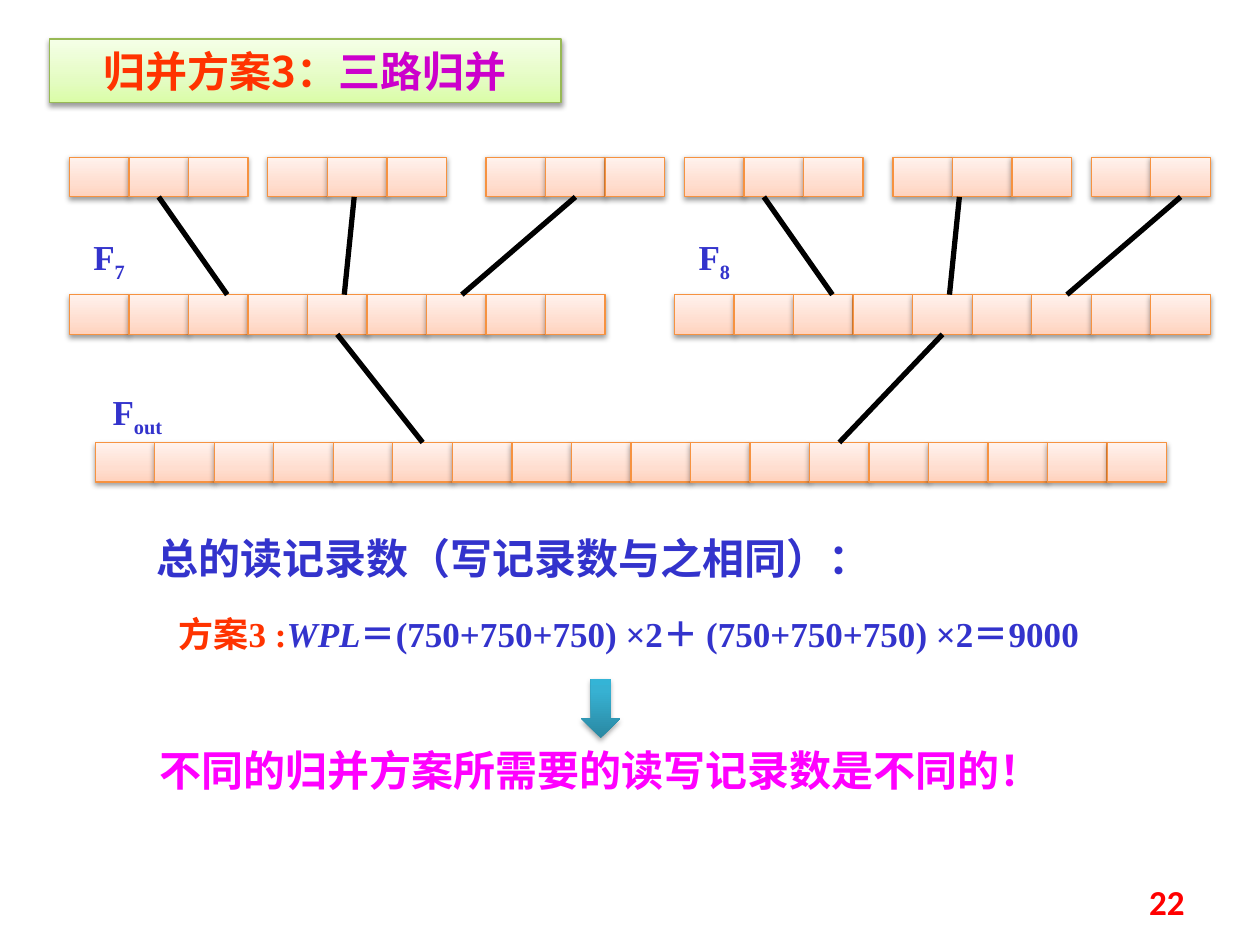
from lxml import etree
from pptx import Presentation, util as u
from pptx.dml.color import RGBColor
from pptx.enum import shapes, text
from pptx.oxml import parse_xml
from pptx.oxml.ns import nsdecls, qn

CJK, ROMAN = "Noto Sans CJK SC", "Times New Roman"
BLUE, RED = "3333CC", "FF3300"
CELL_WIDTH, CELL_HEIGHT = 1.2, 0.8
LEAF_TOP, MIDDLE_TOP, OUT_TOP = 3.17, 5.94, 8.92


def style_shape(shape, stops, line, opacity=38, distance=1.6):
    """Give a shape a bottom-to-top gradient, an outline and a soft shadow below."""
    shape.shadow.inherit = False
    if line:
        shape.line.color.rgb = RGBColor.from_string(line)
        shape.line.width = u.Pt(0.75)
    else:
        shape.line.fill.background()
    properties = shape._element.spPr
    colours = "".join(
        f'<a:gs pos="{position * 1000}"><a:srgbClr val="{colour}"/></a:gs>'
        for position, colour in stops)
    properties.find(qn("a:prstGeom")).addnext(parse_xml(
        f'<a:gradFill {nsdecls("a")} rotWithShape="1"><a:gsLst>{colours}</a:gsLst>'
        '<a:lin ang="16200000" scaled="0"/></a:gradFill>'))
    properties.find(qn("a:effectLst")).append(parse_xml(
        f'<a:outerShdw {nsdecls("a")} blurRad="{u.Pt(3.1)}" dist="{u.Pt(distance)}" '
        'dir="5400000" rotWithShape="0"><a:srgbClr val="000000">'
        f'<a:alpha val="{opacity * 1000}"/></a:srgbClr></a:outerShdw>'))


def write_text(shape, runs, size, font=ROMAN, align=text.PP_ALIGN.LEFT, inset=None):
    """Fill a shape with bold runs of (wording, colour, style); return its text frame."""
    frame = shape.text_frame
    frame.word_wrap = True
    if inset is not None:
        frame.margin_left = frame.margin_right = u.Cm(inset)
        frame.margin_top = frame.margin_bottom = u.Cm(inset)
    paragraph = frame.paragraphs[0]
    paragraph.alignment = align
    for wording, colour, style in runs:
        run = paragraph.add_run()
        run.text = wording
        run.font.name = font
        run.font.size = u.Pt(size)
        run.font.bold = True
        run.font.italic = style == "italic"
        run.font.color.rgb = RGBColor.from_string(colour)
        if style == "subscript":
            run.font._element.set("baseline", "-25000")
        east_asian = etree.SubElement(run.font._element, qn("a:ea"))
        east_asian.set("typeface", CJK)
    return frame


presentation = Presentation()
presentation.slide_width, presentation.slide_height = u.Cm(25.4), u.Cm(19.05)
slide = presentation.slides.add_slide(presentation.slide_layouts[6])

# Title
title = slide.shapes.add_shape(
    shapes.MSO_SHAPE.RECTANGLE, u.Cm(1), u.Cm(0.79), u.Cm(10.31), u.Cm(1.28))
style_shape(title, [(0, "DAFDA7"), (35, "E4FCC2"), (100, "F5FFE7")], "98B955")
write_text(title, [("归并方案3：", RED, ""), ("三路归并", "CC00CC", "")],
           24, CJK, text.PP_ALIGN.CENTER)

# Rows of records: name, left, top, number of cells
rows = [(f"leaf{number}", left, LEAF_TOP, 2 if number == 6 else 3)
        for number, left in enumerate([1.4, 5.4, 9.8, 13.8, 18, 22], 1)]
rows += [("F7", 1.4, MIDDLE_TOP, 9), ("F8", 13.6, MIDDLE_TOP, 9),
         ("Fout", 1.92, OUT_TOP, 18)]
cells = {}
for name, left, top, count in rows:
    for index in range(count):
        cell = slide.shapes.add_shape(
            shapes.MSO_SHAPE.RECTANGLE, u.Cm(left + index * CELL_WIDTH), u.Cm(top),
            u.Cm(CELL_WIDTH), u.Cm(CELL_HEIGHT))
        style_shape(cell, [(0, "FFD2BD"), (35, "FFDED0"), (100, "FFF2ED")], "F69240")
        cells[name, index] = cell

# Merge lines: start x, end x, start top, end top, joined start cell, joined end cell
LEAF_BOTTOM, MIDDLE_BOTTOM = LEAF_TOP + CELL_HEIGHT, MIDDLE_TOP + CELL_HEIGHT
merges = []
for shift, joined in [(0, [("leaf1", 1), None, ("leaf3", 1)]),
                      (12.2, [None, None, ("leaf6", 1)])]:
    for start, end, cell in zip([3.2, 7.14, 11.6], [4.58, 6.94, 9.31], joined):
        merges.append((start + shift, end + shift, LEAF_BOTTOM, MIDDLE_TOP, cell, None))
merges += [(6.8, 8.52, MIDDLE_BOTTOM, OUT_TOP, ("F7", 4), ("Fout", 5)),
           (19, 16.92, MIDDLE_BOTTOM, OUT_TOP, ("F8", 4), ("Fout", 12))]
for start, end, start_top, end_top, start_cell, end_cell in merges:
    connector = slide.shapes.add_connector(
        shapes.MSO_CONNECTOR.STRAIGHT,
        u.Cm(start), u.Cm(start_top), u.Cm(end), u.Cm(end_top))
    connector.line.color.rgb = RGBColor.from_string("000000")
    connector.line.width = u.Pt(3)
    etree.SubElement(connector._element.spPr, qn("a:effectLst"))
    if start_cell:
        connector.begin_connect(cells[start_cell], 2)
    if end_cell:
        connector.end_connect(cells[end_cell], 0)

# File labels
for subscript, left, top, width in [
        ("7", 1.4, 4.75, 1.6), ("8", 13.6, 4.75, 1.6), ("out", 1.57, 7.87, 2.4)]:
    label = slide.shapes.add_textbox(u.Cm(left), u.Cm(top), u.Cm(width), u.Cm(0.85))
    write_text(label, [("F", BLUE, ""), (subscript, BLUE, "subscript")],
               20, align=text.PP_ALIGN.CENTER, inset=0)

# Statements
statements = [
    (2.9, 10.62, 16.5, 1.28, 24, [("总的读记录数（写记录数与之相同）：", BLUE, "")]),
    (3.35, 12.22, 20.45, 1.11, 20, [
        ("方案3 :", RED, ""), ("WPL", BLUE, "italic"),
        ("＝(750+750+750) ×2＋ (750+750+750) ×2＝9000", BLUE, "")]),
    (2.97, 14.88, 20.05, 1.28, 24,
     [("不同的归并方案所需要的读写记录数是不同的！", "FF00FF", "")]),
]
for left, top, width, height, size, runs in statements:
    statement = slide.shapes.add_textbox(u.Cm(left), u.Cm(top), u.Cm(width), u.Cm(height))
    write_text(statement, runs, size)

arrow = slide.shapes.add_shape(
    shapes.MSO_SHAPE.DOWN_ARROW, u.Cm(11.71), u.Cm(13.69), u.Cm(0.8), u.Cm(1.19))
style_shape(arrow, [(0, "2A88A2"), (80, "37B1D2"), (100, "34B4D6")], None, 35, 1.8)

page_number = slide.shapes.add_textbox(u.Cm(18.2), u.Cm(17.66), u.Cm(5.93), u.Cm(1.01))
frame = write_text(page_number, [("22", "FF0000", "")], 20, "Calibri", text.PP_ALIGN.RIGHT)
frame.vertical_anchor = text.MSO_ANCHOR.MIDDLE

presentation.save("out.pptx")
